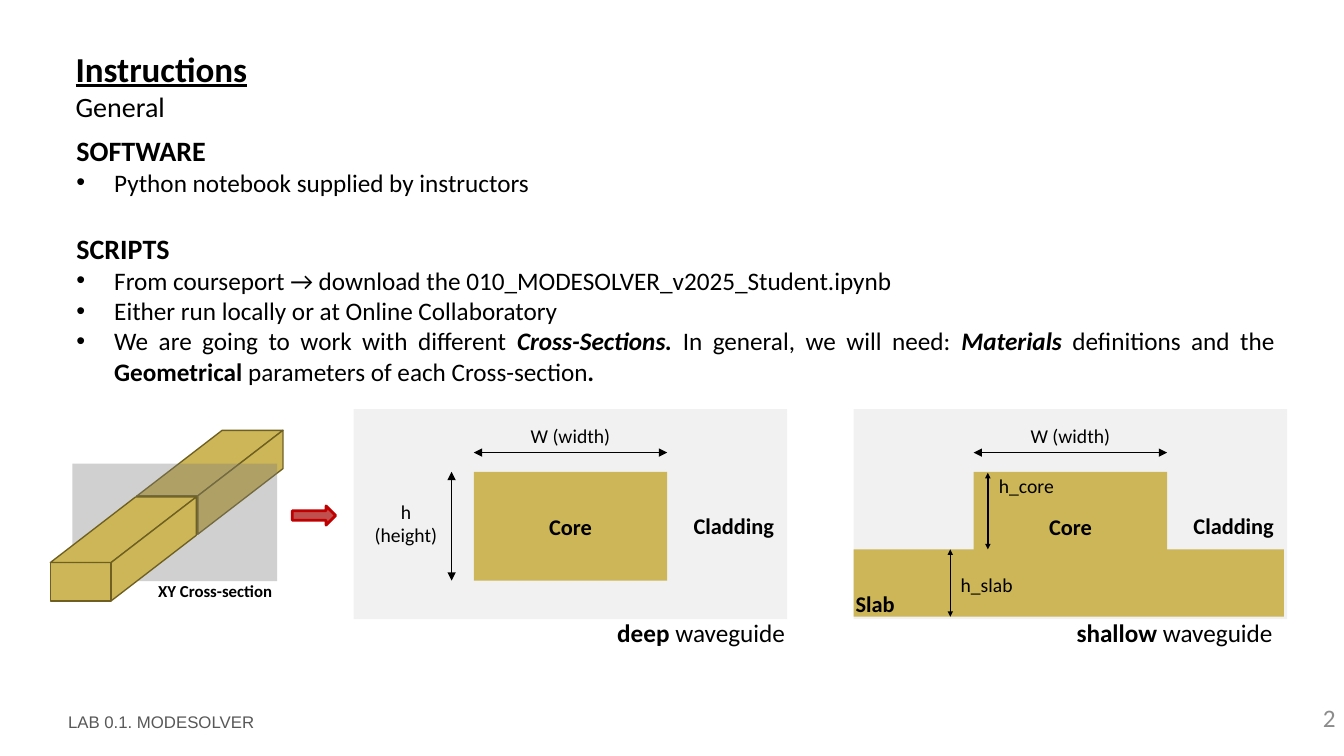
import pptx
import pptx.util
import pptx.dml.color
import pptx.enum.shapes
import pptx.enum.text
import pptx.oxml.ns
from lxml import etree

Pt = pptx.util.Pt
RGBColor = pptx.dml.color.RGBColor
MSO_SHAPE = pptx.enum.shapes.MSO_SHAPE
ALIGN = pptx.enum.text.PP_ALIGN
ANCHOR = pptx.enum.text.MSO_ANCHOR
qn = pptx.oxml.ns.qn

BLACK = RGBColor(0x00, 0x00, 0x00)
GOLD = RGBColor(0xCC, 0xB6, 0x57)
OLIVE = RGBColor(0x6F, 0x60, 0x21)
PANEL_GRAY = RGBColor(0xF1, 0xF1, 0xF1)
PLANE_GRAY = RGBColor(0x7E, 0x7E, 0x7E)
FOOTER_GRAY = RGBColor(0x58, 0x58, 0x58)
NUMBER_GRAY = RGBColor(0x8C, 0x8C, 0x8C)
RED = RGBColor(0xC0, 0x50, 0x4D)
DARK_RED = RGBColor(0xC0, 0x00, 0x00)

PANEL_W, PANEL_TOP, PANEL_H = 309.6, 292.3, 150
CORE_DX, CORE_TOP, CORE_W, CORE_H = 85.7, 337, 138.2, 77.8
DEEP_X, SHALLOW_X = 252.7, 609.8
SLAB_TOP, SLAB_W, SLAB_H = 392.4, 307.4, 48.2


class Sketch:
    font = "Calibri"

    def __init__(self, slide):
        self.shapes = slide.shapes

    def add_runs(self, p, runs, size, color=BLACK, font=None):
        """Add (text, style) runs; style letters are b, i and u."""
        for text, style in runs:
            r = p.add_run()
            r.text = text
            r.font.name = font or self.font
            r.font.size = Pt(size)
            r.font.color.rgb = color
            r.font.bold = "b" in style
            r.font.italic = "i" in style
            r.font.underline = "u" in style

    def frame(self, sp, anchor, inset=(0, 0)):
        tf = sp.text_frame
        tf.word_wrap = True
        tf.vertical_anchor = anchor
        tf.margin_left = tf.margin_right = Pt(inset[0])
        tf.margin_top = tf.margin_bottom = Pt(inset[1])
        return tf

    def text(self, x, y, w, h, lines, size, align=ALIGN.LEFT, color=BLACK,
             font=None, anchor=ANCHOR.TOP):
        """Add a text box; each line is a list of runs."""
        tf = self.frame(self.shapes.add_textbox(Pt(x), Pt(y), Pt(w), Pt(h)), anchor)
        for i, runs in enumerate(lines):
            p = tf.add_paragraph() if i else tf.paragraphs[0]
            p.alignment = align
            self.add_runs(p, runs, size, color, font)
        return tf

    def body(self, x, y, w, h, sections):
        """Add headings, each followed by its bullets."""
        tf = self.frame(self.shapes.add_textbox(Pt(x), Pt(y), Pt(w), Pt(h)),
                        ANCHOR.TOP, (7.2, 3.6))
        for i, (heading, bullets) in enumerate(sections):
            p = tf.add_paragraph() if i else tf.paragraphs[0]
            p.space_before = Pt(24.4 if i else 0)
            self.add_runs(p, [(heading, "b")], 20)
            for runs in bullets:
                p = tf.add_paragraph()
                p.alignment = ALIGN.JUSTIFY
                pPr = p._p.get_or_add_pPr()
                pPr.set("marL", str(Pt(27)))
                pPr.set("indent", str(-Pt(27)))
                etree.SubElement(pPr, qn("a:buFont")).set("typeface", "Arial")
                etree.SubElement(pPr, qn("a:buChar")).set("char", "•")
                self.add_runs(p, runs, 18)

    def paint(self, sp, fill, line=None, width=1):
        sp.shadow.inherit = False
        sp.fill.solid()
        sp.fill.fore_color.rgb = fill
        if line is None:
            sp.line.fill.background()
        else:
            sp.line.color.rgb = line
            sp.line.width = Pt(width)
        return sp

    def shape(self, x, y, w, h, fill, kind=MSO_SHAPE.RECTANGLE, line=None, width=1):
        sp = self.shapes.add_shape(kind, Pt(x), Pt(y), Pt(w), Pt(h))
        return self.paint(sp, fill, line, width)

    def label(self, sp, text, align, anchor):
        p = self.frame(sp, anchor).paragraphs[0]
        p.alignment = align
        self.add_runs(p, [(text, "b")], 16)

    def face(self, *points):
        start, *rest = [(Pt(x), Pt(y)) for x, y in points]
        builder = self.shapes.build_freeform(*start)
        builder.add_line_segments(rest, close=True)
        self.paint(builder.convert_to_shape(), GOLD, OLIVE, 0.96)

    def prism(self, x, y, w=43.4, h=27.4, dx=60.8, dy=-46.8):
        """Draw a bar with its front face at x, y, receding by dx, dy."""
        r, b = x + w, y + h
        self.face((x, y), (r, y), (r, b), (x, b))
        self.face((x, y), (x + dx, y + dy), (r + dx, y + dy), (r, y))
        self.face((r, y), (r + dx, y + dy), (r + dx, b + dy), (r, b))

    def dimension(self, x1, y1, x2, y2, head="med"):
        """Draw a line with an arrowhead at both ends."""
        c = self.shapes.add_connector(pptx.enum.shapes.MSO_CONNECTOR.STRAIGHT,
                                      Pt(x1), Pt(y1), Pt(x2), Pt(y2))
        c.line.color.rgb = BLACK
        c.line.width = Pt(1)
        ln = c.line._get_or_add_ln()
        for tag in ("a:headEnd", "a:tailEnd"):
            end = etree.SubElement(ln, qn(tag))
            end.set("type", "triangle")
            end.set("w", head)
            end.set("len", head)
        etree.SubElement(c._element.spPr, qn("a:effectLst"))

    def waveguide(self, x):
        """Draw the parts that both cross-sections share."""
        core_x = x + CORE_DX
        self.shape(x, PANEL_TOP, PANEL_W, PANEL_H, PANEL_GRAY)
        self.dimension(core_x, 323.3, core_x + CORE_W, 323.3)
        self.text(core_x, 302.8, CORE_W, 18, [[("W (width)", "")]], 14, ALIGN.CENTER)
        core = self.shape(core_x, CORE_TOP, CORE_W, CORE_H, GOLD)
        self.label(core, "Core", ALIGN.CENTER, ANCHOR.MIDDLE)
        self.text(x + 242.7, 366, 62, 20, [[("Cladding", "b")]], 16)

    def caption(self, x, kind):
        self.text(x, 440.8, 160, 24, [[(kind, "b"), (" waveguide", "")]], 18, ALIGN.CENTER)


def main():
    prs = pptx.Presentation()
    prs.slide_width, prs.slide_height = Pt(960), Pt(540)
    s = Sketch(prs.slides.add_slide(prs.slide_layouts[6]))

    tf = s.text(54, 33.8, 484.6, 55, [[("Instructions", "bu")]], 25)
    s.add_runs(tf.add_paragraph(), [("General", "")], 20)
    s.text(733, 501.8, 221, 27, [[("2", "")]], 18, ALIGN.RIGHT, NUMBER_GRAY)
    s.text(48.6, 508.3, 216, 14.4, [[("LAB 0.1. MODESOLVER", "")]], 12,
           color=FOOTER_GRAY, font="Arial", anchor=ANCHOR.MIDDLE)
    s.body(47.5, 91.8, 870, 390, [
        ("SOFTWARE", [[("Python notebook supplied by instructors", "")]]),
        ("SCRIPTS", [
            [("From courseport → download the 010_MODESOLVER_v2025_Student.ipynb", "")],
            [("Either run locally or at Online Collaboratory", "")],
            [("We are going to work with different ", ""), ("Cross-Sections. ", "bi"),
             ("In general, we will need: ", ""), ("Materials", "bi"),
             (" definitions and the ", ""), ("Geometrical", "b"),
             (" parameters of each Cross-section", ""), (".", "bi")],
        ]),
    ])

    # Bar cut by the cross-section plane
    s.prism(97.9, 354.2)
    plane = s.shape(51.8, 331.2, 146.2, 84, PLANE_GRAY)
    color = plane._element.spPr.find(qn("a:solidFill"))[0]
    etree.SubElement(color, qn("a:alpha")).set("val", "36000")
    s.prism(36, 401.8)
    s.text(113, 415, 84.5, 16, [[("XY Cross-section", "b")]], 12)
    s.shape(208.8, 361.4, 31, 13.7, RED, MSO_SHAPE.RIGHT_ARROW, DARK_RED, 2)

    # Deep waveguide
    s.waveguide(DEEP_X)
    s.dimension(322.6, CORE_TOP, 322.6, CORE_TOP + CORE_H)
    s.text(266, 356.8, 48, 36, [[("h", "")], [("(height)", "")]], 14, ALIGN.CENTER)
    s.caption(420.8, "deep")

    # Shallow waveguide
    s.waveguide(SHALLOW_X)
    slab = s.shape(SHALLOW_X, SLAB_TOP, SLAB_W, SLAB_H, GOLD)
    s.label(slab, "Slab", ALIGN.LEFT, ANCHOR.BOTTOM)
    slab.text_frame.margin_left = Pt(1.4)
    s.dimension(705.6, CORE_TOP + 0.7, 705.6, SLAB_TOP, "sm")
    s.dimension(678.8, SLAB_TOP, 678.8, SLAB_TOP + SLAB_H, "sm")
    s.text(686.2, 409.3, 53, 18, [[("h_slab", "")]], 14)
    s.text(713.5, 338.8, 108, 18, [[("h_core", "")]], 14)
    s.caption(759, "shallow")

    prs.save("out.pptx")


if __name__ == "__main__":
    main()
